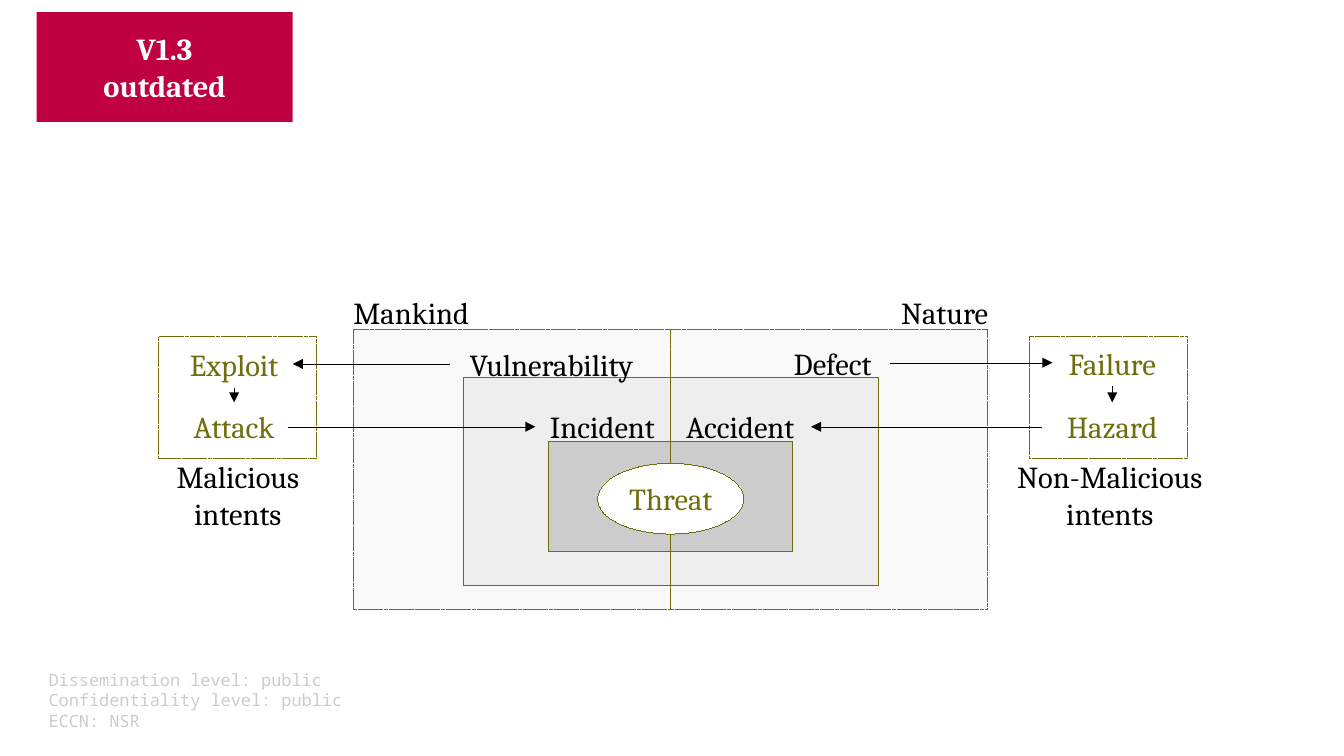
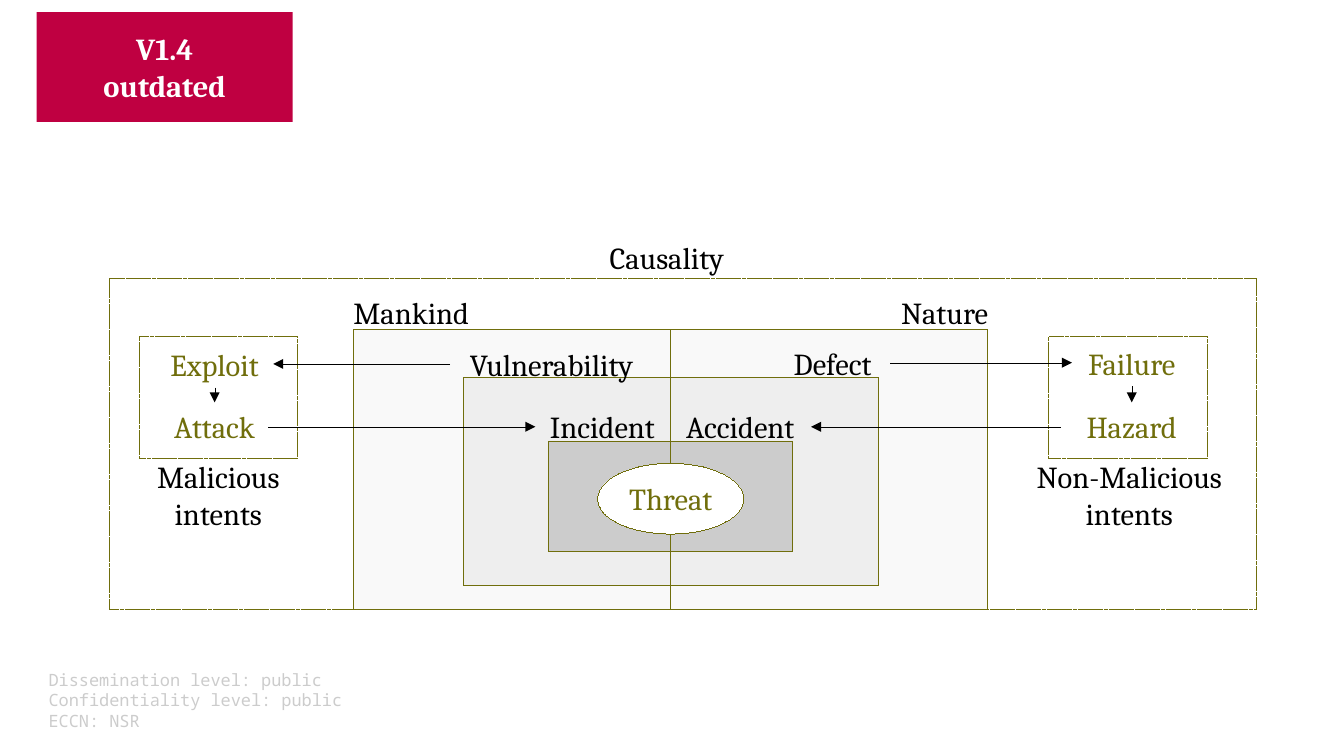
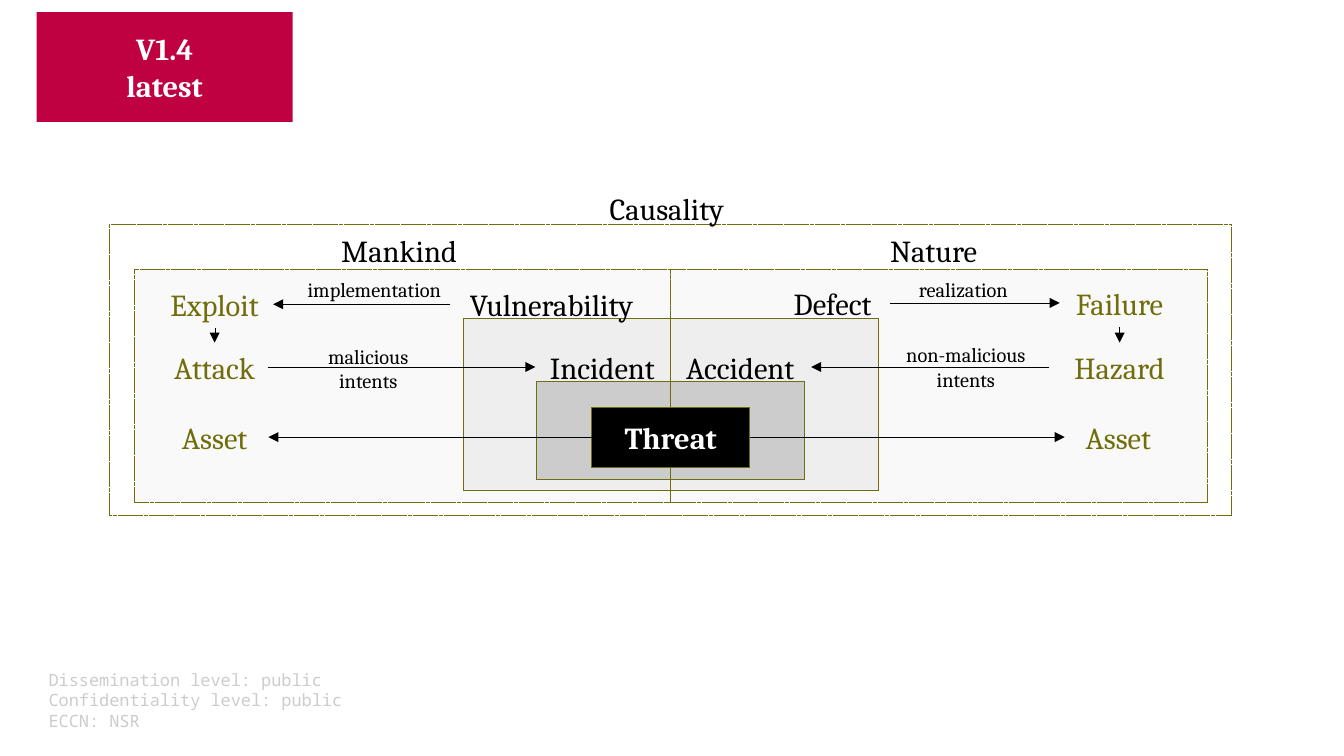
from lxml.etree import SubElement
from pptx import Presentation
from pptx.dml.color import RGBColor
from pptx.enum.dml import MSO_LINE
from pptx.enum.shapes import MSO_CONNECTOR, MSO_SHAPE
from pptx.enum.text import MSO_ANCHOR, MSO_AUTO_SIZE, PP_ALIGN
from pptx.oxml.ns import qn
from pptx.util import Inches, Pt

COLOURS = {
    "olive": "706E0C", "black": "000000", "white": "FFFFFF", "badge": "BF0041", "footer": "CCCCCC",
    "outer": "F9F9F9", "middle": "EEEEEE", "inner": "CCCCCC",
}
RGB = {name: RGBColor.from_string(value) for name, value in COLOURS.items()}
LEFT, CENTER, RIGHT = PP_ALIGN.LEFT, PP_ALIGN.CENTER, PP_ALIGN.RIGHT
TOP_SIDE, LEFT_SIDE, BOTTOM_SIDE, RIGHT_SIDE = range(4)
AXIS = 5.5
HAIRLINE = "0"
FOOTER = "Dissemination level: public\nConfidentiality level: public\nECCN: NSR"


def write_text(shape, text, colour, align=CENTER, size=18, font="Cambria", bold=False):
    frame = shape.text_frame
    frame.text = text
    formats = {"name": font, "size": Pt(size), "bold": bold}
    for paragraph in frame.paragraphs:
        paragraph.alignment = align
        for run in paragraph.runs:
            run.font.color.rgb = RGB[colour]
            for attribute, value in formats.items():
                setattr(run.font, attribute, value)


def add_panel(slide, bounds, fill=None, dashed=False, kind=MSO_SHAPE.RECTANGLE):
    shape = slide.shapes.add_shape(kind, *map(Inches, bounds))
    shape.shadow.inherit = False
    if fill:
        shape.fill.solid()
        shape.fill.fore_color.rgb = RGB[fill]
    else:
        shape.fill.background()
    shape.line.color.rgb = RGB["olive"]
    shape._element.spPr.find(qn("a:ln")).set("w", HAIRLINE)
    if dashed:
        shape.line.dash_style = MSO_LINE.SQUARE_DOT
    return shape


early_rings = [(2.6, 2.7, 2.3, "outer"), (1.7, 3.1, 1.7, "middle"), (1, 3.62, 0.9, "inner")]
early_threat = {"bounds": (4.9, 3.8, 1.2, 0.58), "kind": MSO_SHAPE.OVAL, "fill": "white", "text": "olive", "bold": False}
early_headings = [("Mankind", 2.8, 2.36), ("Nature", 7.29, 2.36)]

versions = [
    {"badge": "V1.3\noutdated", "shifts": (0, 0), "rise": 0, "rings": early_rings, "dashed": True,
     "causality": None, "headings": early_headings, "threat": early_threat, "latest": False},
    {"badge": "V1.4\noutdated", "shifts": (-0.16, 0.16), "rise": 0, "rings": early_rings, "dashed": False,
     "causality": (0.9, 2.28, 9.4, 2.72), "headings": early_headings + [("Causality", 4.9, 1.91)],
     "threat": early_threat, "latest": False},
    {"badge": "V1.4\nlatest", "shifts": (-0.16, 0.06), "rise": 0.49, "dashed": True,
     "rings": [(4.4, 2.21, 1.91, "outer"), (1.7, 2.61, 1.41, "middle"), (1.1, 3.13, 0.8, "inner")],
     "causality": (0.9, 1.84, 9.2, 2.39),
     "headings": [("Mankind", 2.7, 1.85), ("Nature", 7.2, 1.85), ("Causality", 4.9, 1.51)],
     "threat": {"bounds": (4.85, 3.34, 1.3, 0.49), "kind": MSO_SHAPE.RECTANGLE, "fill": "black", "text": "white",
                "bold": True},
     "latest": True},
]

presentation = Presentation()
presentation.slide_width = Inches(11.02)
presentation.slide_height = Inches(6.2)
title_only = presentation.slide_layouts[5]

for version in versions:
    slide = presentation.slides.add_slide(title_only)
    left_shift, right_shift = version["shifts"]
    rise = version["rise"]

    badge = slide.shapes.title
    bounds = {"left": 0.3, "top": 0.1, "width": 2.1, "height": 0.9}
    for attribute, value in bounds.items():
        setattr(badge, attribute, Inches(value))
    badge.fill.solid()
    badge.fill.fore_color.rgb = RGB["badge"]
    badge.text_frame.auto_size = MSO_AUTO_SIZE.NONE
    badge.text_frame.vertical_anchor = MSO_ANCHOR.MIDDLE
    write_text(badge, version["badge"], "white", bold=True)

    if version["causality"]:
        add_panel(slide, version["causality"], "white", True)
    for half_width, top, height, fill in version["rings"]:
        for left in (AXIS - half_width, AXIS):
            add_panel(slide, (left, top, half_width, height), fill, version["dashed"] and fill == "outer")

    words = {
        "vulnerability": ("Vulnerability", 3.69, 2.79 - rise, 1.6, 0.39, "black", RIGHT),
        "defect": ("Defect", 6.41, 2.78 - rise, 0.89, 0.39, "black", LEFT),
        "incident": ("Incident", 4.39, 3.3 - rise, 1.1, 0.4, "black", CENTER),
        "accident": ("Accident", 5.49, 3.3 - rise, 1.16, 0.4, "black", CENTER),
        "exploit": ("Exploit", 1.44 + left_shift, 2.79 - rise, 0.96, 0.39, "olive", CENTER),
        "attack": ("Attack", 1.48 + left_shift, 3.3 - rise, 0.88, 0.4, "olive", CENTER),
        "failure": ("Failure", 8.63 + right_shift, 2.78 - rise, 0.98, 0.39, "olive", CENTER),
        "hazard": ("Hazard", 8.54 + right_shift, 3.3 - rise, 1.16, 0.4, "olive", CENTER),
        "footer": (FOOTER, 0.3, 5.44, 5.81, 0.58, "footer", LEFT, 10, "Noto Sans Mono"),
    }
    for text, left, top in version["headings"]:
        words[text] = (text, left, top, 1.2, 0.4, "black", LEFT)
    arrows = [
        ("vulnerability", LEFT_SIDE, "exploit", RIGHT_SIDE),
        ("exploit", BOTTOM_SIDE, "attack", TOP_SIDE),
        ("attack", RIGHT_SIDE, "incident", LEFT_SIDE),
        ("defect", RIGHT_SIDE, "failure", LEFT_SIDE),
        ("failure", BOTTOM_SIDE, "hazard", TOP_SIDE),
        ("hazard", LEFT_SIDE, "accident", RIGHT_SIDE),
    ]
    if version["latest"]:
        words.update({
            "left asset": ("Asset", 1.32, 3.39, 0.88, 0.39, "olive", CENTER),
            "right asset": ("Asset", 8.73, 3.39, 0.88, 0.39, "olive", CENTER),
            "implementation": ("implementation", 2.37, 2.22, 1.4, 0.29, "black", CENTER, 12),
            "realization": ("realization", 7.2, 2.22, 1.4, 0.29, "black", CENTER, 12),
            "malicious": ("malicious\nintents", 2.44, 2.77, 1.16, 0.49, "black", CENTER, 12),
            "non-malicious": ("non-malicious\nintents", 7.27, 2.76, 1.3, 0.49, "black", CENTER, 12),
        })
        arrows += [
            ("threat", LEFT_SIDE, "left asset", RIGHT_SIDE),
            ("threat", RIGHT_SIDE, "right asset", LEFT_SIDE),
        ]
    else:
        words["malicious"] = ("Malicious intents", 1.2 + left_shift, 3.71, 1.5, 0.69, "black", CENTER)
        words["non-malicious"] = ("Non-Malicious intents", 8.2 + right_shift, 3.71, 1.8, 0.69, "black", CENTER)
        for left in (1.3 + left_shift, 8.44 + right_shift):
            add_panel(slide, (left, 2.76, 1.3, 1), dashed=True)

    boxes = {}
    for name, (text, left, top, width, height, *style) in words.items():
        box = slide.shapes.add_textbox(*map(Inches, (left, top, width, height)))
        box.text_frame.word_wrap = True
        box.text_frame.auto_size = MSO_AUTO_SIZE.SHAPE_TO_FIT_TEXT
        write_text(box, text, *style)
        boxes[name] = box

    threat = version["threat"]
    boxes["threat"] = add_panel(slide, threat["bounds"], threat["fill"], kind=threat["kind"])
    boxes["threat"].text_frame.word_wrap = False
    boxes["threat"].text_frame.vertical_anchor = MSO_ANCHOR.MIDDLE
    write_text(boxes["threat"], "Threat", threat["text"], bold=threat["bold"])

    for start, start_side, end, end_side in arrows:
        arrow = slide.shapes.add_connector(MSO_CONNECTOR.STRAIGHT, 0, 0, 0, 0)
        arrow.begin_connect(boxes[start], start_side)
        arrow.end_connect(boxes[end], end_side)
        arrow.line.color.rgb = RGB["black"]
        outline = arrow._element.spPr.find(qn("a:ln"))
        outline.set("w", HAIRLINE)
        SubElement(outline, qn("a:tailEnd"), type="triangle")
        SubElement(arrow._element.spPr, qn("a:effectLst"))

presentation.save("out.pptx")
